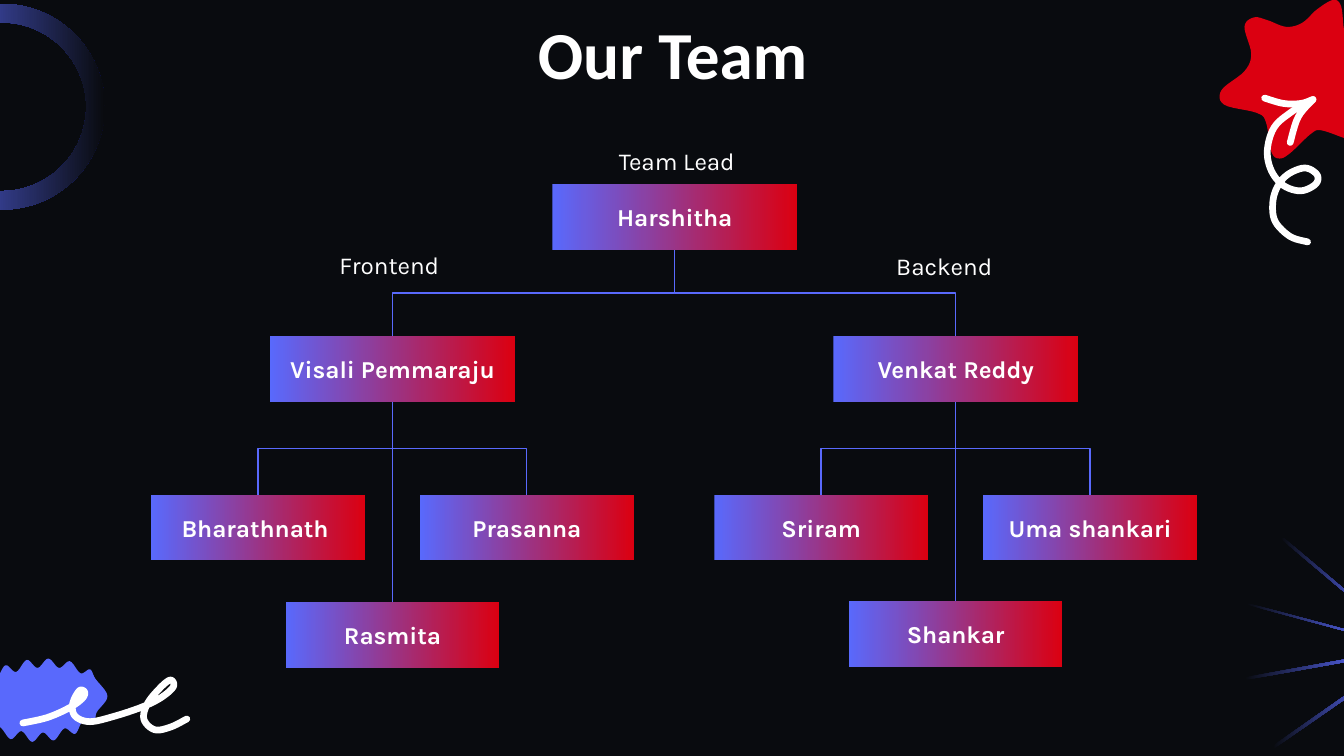
from lxml.etree import SubElement
from pptx import Presentation
from pptx.dml.color import RGBColor
from pptx.enum.shapes import MSO_CONNECTOR, MSO_SHAPE
from pptx.enum.text import MSO_ANCHOR, PP_ALIGN
from pptx.oxml.ns import qn
from pptx.util import Inches, Pt

BLUE, RED, DARK, WHITE = "5969FC", "DB0011", "090B0F", "FFFFFF"
PAGE_WIDTH = 10
PAGE_HEIGHT = PAGE_WIDTH * 9 / 16
BOX_HEIGHT, LEAD_WIDTH, MEMBER_WIDTH = 0.49, 1.82, 1.59
LEAD_TOP, BRANCH_TOP, MEMBER_TOP = 1.37, 2.5, 3.68
LEAD_CENTER, MEMBER_OFFSET = 5.02, 1

LEAD = "Harshitha"
BRANCHES = [
    ("Visali Pemmaraju", 2.92, ("Bharathnath ", "Prasanna"), "Rasmita", 4.48),
    ("Venkat Reddy", 7.11, ("Sriram", "Uma shankari"), "Shankar", 4.47),
]
TITLE = ("Our Team", 0.79, -0.01, 8.43, 0.63, "Calibri", 36, True)
LABELS = [
    ("Team Lead", 3.95, 0.99, 2.17, 0.42, "Karla", 13, False),
    ("Frontend", 1.85, 1.76, 2.09, 0.42, "Karla", 13, False),
    ("Backend", 5.94, 1.77, 2.17, 0.42, "Karla", 13, False),
]

BADGE = [
    (0.36, 4.9), (0.28, 4.97), (0.2, 4.91), (0.12, 5), (0.04, 4.95), (-0.03, 5.06), (-0.1, 5.04),
    (-0.13, 5.14), (-0.2, 5.25), (-0.11, 5.36), (-0.07, 5.44), (0, 5.41), (0.08, 5.5),
    (0.16, 5.44), (0.24, 5.52), (0.32, 5.45), (0.4, 5.51), (0.48, 5.42), (0.56, 5.46),
    (0.62, 5.36), (0.7, 5.38), (0.72, 5.3), (0.8, 5.18), (0.71, 5.05), (0.67, 4.98),
    (0.6, 5.01), (0.52, 4.92), (0.44, 4.97),
]
STAR = [
    (9.92, 0), (9.8, 0.07), (9.69, 0.17), (9.57, 0.2), (9.43, 0.15), (9.33, 0.13), (9.26, 0.2),
    (9.31, 0.4), (9.26, 0.53), (9.09, 0.67), (9.11, 0.78), (9.35, 0.84), (9.42, 0.91),
    (9.46, 1.13), (9.52, 1.18), (9.6, 1.14), (9.75, 1), (9.83, 0.97), (10.01, 1.03),
    (10.11, 1.05), (10.18, 0.98), (10.12, 0.77), (10.16, 0.66), (10.34, 0.51), (10.32, 0.4),
    (10.1, 0.35), (10.01, 0.26), (9.98, 0.05),
]
STROKES = [
    [(9.73, 1.8), (9.6, 1.76), (9.49, 1.65), (9.47, 1.52), (9.5, 1.4), (9.58, 1.3),
     (9.71, 1.25), (9.8, 1.3), (9.79, 1.37), (9.68, 1.42), (9.55, 1.38), (9.46, 1.27),
     (9.43, 1.12), (9.48, 0.95), (9.6, 0.84), (9.75, 0.75)],
    [(9.41, 0.73), (9.55, 0.77), (9.68, 0.77), (9.77, 0.74)],
    [(9.77, 0.74), (9.66, 0.87), (9.6, 1.06)],
    [(0.17, 5.38), (0.35, 5.34), (0.51, 5.27), (0.61, 5.2), (0.63, 5.15), (0.59, 5.14),
     (0.54, 5.24), (0.56, 5.33), (0.67, 5.37), (0.85, 5.33), (1.06, 5.26), (1.2, 5.19),
     (1.29, 5.11), (1.27, 5.06), (1.2, 5.11), (1.1, 5.23), (1.07, 5.35), (1.15, 5.43),
     (1.27, 5.41), (1.39, 5.35)],
]
RAYS = [
    [(9.55, 4), (9.53, 4.01), (10.27, 4.63), (10.28, 4.62)],
    [(9.29, 4.49), (9.28, 4.5), (10.21, 4.75), (10.22, 4.74)],
    [(10.21, 4.87), (9.26, 5.04), (9.26, 5.06), (10.21, 4.89)],
    [(10.26, 5), (9.47, 5.55), (9.48, 5.57), (10.27, 5.02)],
]


def color(value):
    return RGBColor.from_string(value)


def paint(shape, start, end=None):
    shape.shadow.inherit = False
    shape.line.fill.background()
    if end is None:
        shape.fill.solid()
        shape.fill.fore_color.rgb = color(start)
        return
    shape.fill.gradient()
    shape.fill.gradient_angle = 0
    for stop, value in zip(shape.fill.gradient_stops, (start, end)):
        stop.color.rgb = color(value)


def smooth_curve(points, closed, steps=6):
    ends = (points[-1:], points[:2]) if closed else (points[:1], points[-1:])
    padded = ends[0] + points + ends[1]
    curve = []
    for a, b, c, d in zip(padded, padded[1:], padded[2:], padded[3:]):
        for t in (step / steps for step in range(steps)):
            curve.append(tuple(
                q + t * (r - p) / 2 + t**2 * (2 * p - 5 * q + 4 * r - s) / 2
                + t**3 * (3 * q - p - 3 * r + s) / 2
                for p, q, r, s in zip(a, b, c, d)))
    return curve if closed else curve + points[-1:]


def add_outline(page, points, closed=True):
    corners = [(Inches(x), Inches(y)) for x, y in points]
    builder = page.shapes.build_freeform(*corners[0], scale=1.0)
    builder.add_line_segments(corners[1:], close=closed)
    return builder.convert_to_shape()


def add_stroke(page, points):
    stroke = add_outline(page, smooth_curve(points, False), False)
    stroke.shadow.inherit = False
    stroke.fill.background()
    stroke.line.color.rgb = color(WHITE)
    stroke.line.width = Pt(3.6)
    stroke.line._get_or_add_ln().set("cap", "rnd")


def write(shape, text, font, size, bold):
    frame = shape.text_frame
    frame.word_wrap = True
    frame.margin_left = frame.margin_right = frame.margin_top = frame.margin_bottom = Inches(0.1)
    frame.text = text
    para = frame.paragraphs[0]
    para.alignment = PP_ALIGN.CENTER
    span = para.runs[0].font
    span.name, span.size, span.bold = font, Pt(size), bold
    span.color.rgb = color(WHITE)


def add_label(page, text, left, top, width, height, font, size, bold):
    box = page.shapes.add_textbox(Inches(left), Inches(top), Inches(width), Inches(height))
    write(box, text, font, size, bold)


def add_person(page, name, center, top, width):
    box = page.shapes.add_shape(MSO_SHAPE.RECTANGLE, Inches(center - width / 2), Inches(top),
                                Inches(width), Inches(BOX_HEIGHT))
    paint(box, BLUE, RED)
    write(box, name, "Karla", 13, True)
    box.text_frame.vertical_anchor = MSO_ANCHOR.MIDDLE


def add_link(page, start_x, start_y, end_x, end_y):
    rightward = end_x > start_x
    if start_x == end_x:
        kind, ends = MSO_CONNECTOR.STRAIGHT, (start_x, start_y, end_x, end_y)
    else:
        kind = MSO_CONNECTOR.ELBOW
        middle_x, middle_y = (start_x + end_x) / 2, (start_y + end_y) / 2
        half_drop, half_span = (end_y - start_y) / 2, abs(end_x - start_x) / 2
        sign = -1 if rightward else 1
        ends = (middle_x - sign * half_drop, middle_y - half_span,
                middle_x + sign * half_drop, middle_y + half_span)
    link = page.shapes.add_connector(kind, *(Inches(value) for value in ends))
    link.line.color.rgb = color(BLUE)
    link.line.width = Pt(0.75)
    properties = link._element.spPr
    if kind == MSO_CONNECTOR.ELBOW:
        properties.find(qn("a:xfrm")).set("rot", "16200000" if rightward else "5400000")
    SubElement(properties, qn("a:effectLst"))


def add_decorations(page):
    paint(add_outline(page, smooth_curve(BADGE, True)), BLUE)
    ring = page.shapes.add_shape(MSO_SHAPE.DONUT, Inches(-0.75), Inches(0.03),
                                 Inches(1.53), Inches(1.53))
    ring.adjustments[0] = 0.09
    paint(ring, BLUE, DARK)
    for ray in RAYS:
        paint(add_outline(page, ray), DARK, BLUE)
    paint(add_outline(page, smooth_curve(STAR, True)), RED)
    for points in STROKES:
        add_stroke(page, points)


def main():
    """Build the team organisation chart slide."""
    deck = Presentation()
    deck.slide_width, deck.slide_height = Inches(PAGE_WIDTH), Inches(PAGE_HEIGHT)
    page = deck.slides.add_slide(deck.slide_layouts[6])
    page.background.fill.solid()
    page.background.fill.fore_color.rgb = color(DARK)
    add_decorations(page)
    for label in [TITLE] + LABELS:
        add_label(page, *label)
    add_person(page, LEAD, LEAD_CENTER, LEAD_TOP, LEAD_WIDTH)
    for head, center, pair, last, last_top in BRANCHES:
        add_link(page, LEAD_CENTER, LEAD_TOP + BOX_HEIGHT, center, BRANCH_TOP)
        add_person(page, head, center, BRANCH_TOP, LEAD_WIDTH)
        members = [(name, center + side * MEMBER_OFFSET, MEMBER_TOP)
                   for name, side in zip(pair, (-1, 1))]
        for name, member_center, top in members + [(last, center, last_top)]:
            add_link(page, center, BRANCH_TOP + BOX_HEIGHT, member_center, top)
            add_person(page, name, member_center, top, MEMBER_WIDTH)
    deck.save("out.pptx")


if __name__ == "__main__":
    main()
